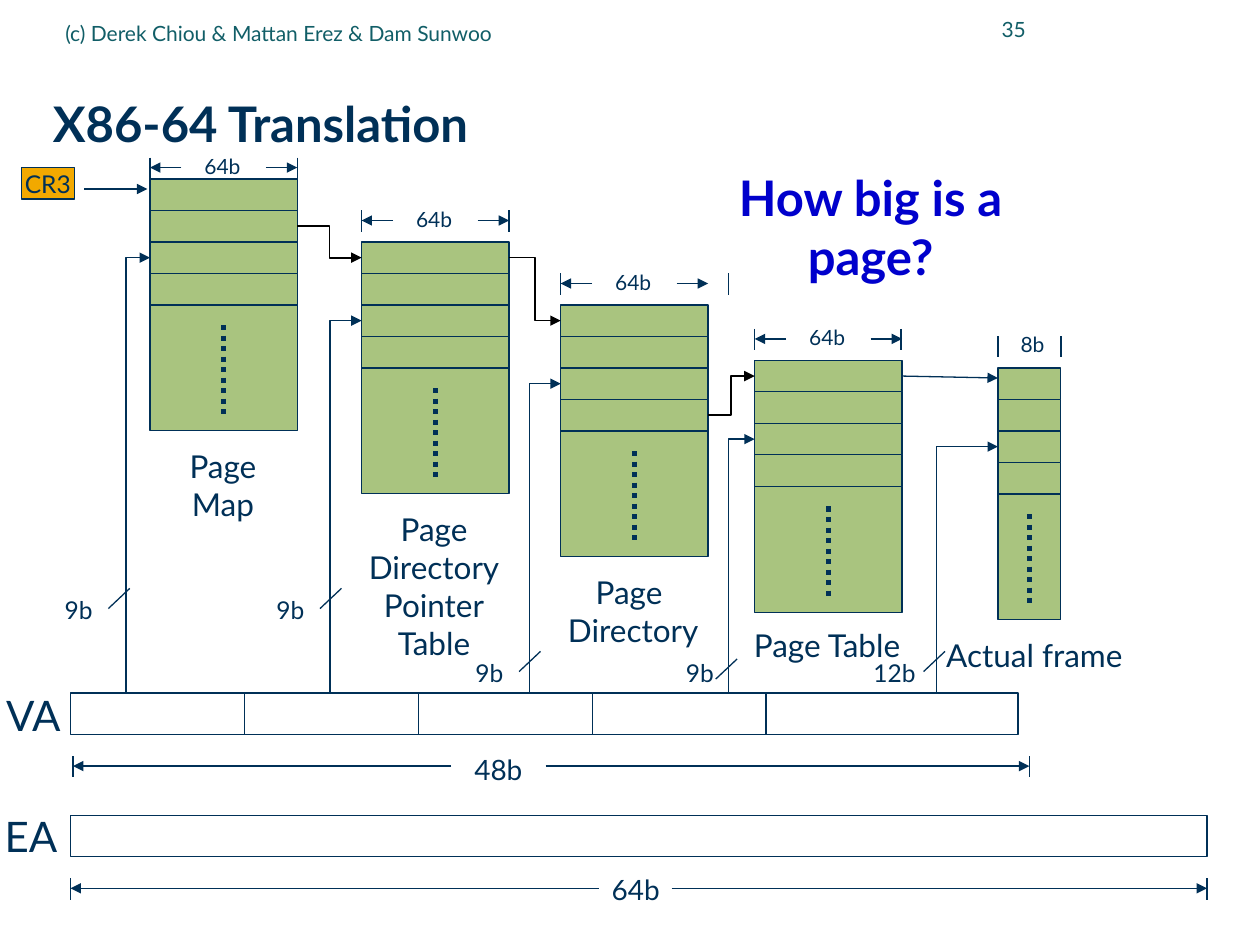
from lxml import etree
from pptx import Presentation
from pptx.dml.color import RGBColor
from pptx.enum.dml import MSO_LINE
from pptx.enum.shapes import MSO_CONNECTOR, MSO_SHAPE
from pptx.enum.text import MSO_ANCHOR, MSO_AUTO_SIZE, PP_ALIGN
from pptx.oxml.ns import qn
from pptx.util import Inches, Pt

STRAIGHT, ELBOW = MSO_CONNECTOR.STRAIGHT, MSO_CONNECTOR.ELBOW
RECT = MSO_SHAPE.RECTANGLE
LEFT, CENTER, RIGHT = PP_ALIGN.LEFT, PP_ALIGN.CENTER, PP_ALIGN.RIGHT
TOP, MIDDLE = MSO_ANCHOR.TOP, MSO_ANCHOR.MIDDLE
FIT = MSO_AUTO_SIZE.SHAPE_TO_FIT_TEXT
DOTS = MSO_LINE.ROUND_DOT
COLORS = {"navy": "003057", "teal": "115E67", "green": "A9C47F",
          "amber": "F2A900", "blue": "0000CC", "black": "000000"}
FONT = "Lato"

prs = Presentation()
prs.slide_width, prs.slide_height = Inches(10), Inches(7.5)
slide = prs.slides.add_slide(prs.slide_layouts[5])
shapes = slide.shapes


def write(frame, lines, size, color="navy", bold=False, align=CENTER, anchor=TOP, wrap=False):
    frame.word_wrap = wrap
    frame.vertical_anchor = anchor
    for i, line in enumerate(lines.split("\n")):
        paragraph = frame.add_paragraph() if i else frame.paragraphs[0]
        paragraph.alignment = align
        run = paragraph.add_run()
        run.text = line
        run.font.name, run.font.size, run.font.bold = FONT, Pt(size), bold
        run.font.color.rgb = RGBColor.from_string(COLORS[color])


def add_line(x0, y0, x1, y1, arrow=False, kind=STRAIGHT, color="navy", width=0.75, dash=None):
    line = shapes.add_connector(kind, Inches(x0), Inches(y0), Inches(x1), Inches(y1))
    line.line.color.rgb = RGBColor.from_string(COLORS[color])
    line.line.width = Pt(width)
    if dash:
        line.line.dash_style = dash
    if arrow:
        etree.SubElement(line.line._get_or_add_ln(), qn("a:tailEnd"), type="triangle")
    etree.SubElement(line._element.spPr, qn("a:effectLst"))
    return line


# Title
title = shapes.title
title.left, title.top, title.width, title.height = map(Inches, (0.42, 0.5, 9.41, 0.98))
heading = title.text_frame
heading.margin_left = heading.margin_right = heading.margin_top = heading.margin_bottom = 0
write(heading, "X86-64 Translation", 28, bold=True, align=LEFT, anchor=MIDDLE, wrap=True)
heading.paragraphs[0].line_spacing = 0.99

# Header: slide number and copyright line
for content, place, align in [
    ("35", (7.33, -0.02, 0.91, 0.5), RIGHT),
    ("(c) Derek Chiou & Mattan Erez & Dam Sunwoo", (0.42, 0.03, 5.67, 0.46), LEFT),
]:
    header = shapes.add_textbox(*map(Inches, place))
    write(header.text_frame, content, 12, "teal", align=align, anchor=MIDDLE, wrap=True)

# Rectangles: four entries and a remainder per table, address fields, CR3
ENTRY = 0.25
tables = [(1.19, 1.42, 1.17), (2.87, 1.92, 1.17), (4.45, 2.42, 1.17),
          (5.99, 2.86, 1.17), (7.92, 2.92, 0.5)]
boxes = []
for left, top, width in tables:
    boxes += [(left, top + ENTRY * i, width, ENTRY, "green") for i in range(4)]
    boxes.append((left, top + ENTRY * 4, width, 1, "green"))
FIELD = 1.38
boxes += [(0.56 + FIELD * i, 5.5, FIELD, 0.33, None) for i in range(4)]
boxes += [(6.08, 5.5, 2, 0.33, None), (0.56, 6.47, 9.02, 0.33, None),
          (0.17, 1.33, 0.42, 0.25, "amber")]

rects = []
for *place, fill in boxes:
    rect = shapes.add_shape(RECT, *map(Inches, place))
    rect.shadow.inherit = False
    if fill:
        rect.fill.solid()
        rect.fill.fore_color.rgb = RGBColor.from_string(COLORS[fill])
    else:
        rect.fill.background()
    rect.line.color.rgb = RGBColor.from_string(COLORS["navy"])
    rect.line.width = Pt(0.75)
    rects.append(rect)
entries = [rects[5 * n:5 * n + 4] for n in range(len(tables))]
write(rects[-1].text_frame, "CR3", 14, anchor=MIDDLE)
add_line(0.67, 1.5, 1.17, 1.5, arrow=True)

# Dotted continuation in each table
for left, top, width in tables:
    middle = left + width / 2
    add_line(middle, top + 1.16, middle, top + 1.91, width=3, dash=DOTS)

# Width spans: left, right, far tick, top of ticks, ends of the two arrows
spans = [(0.58, 8.17, 8.17, 6, 3.58, 4.33), (0.56, 9.58, 9.58, 6.97, 4.75, 5.33)]
for (left, top, width), rise, far_tick in zip(
        tables[:4], (0.17, 0.25, 0.25, 0.25), (2.36, 4.04, 5.78, 7.15)):
    right = left + width
    spans.append((left, right, far_tick, top - rise, left + 0.25, right - 0.25))
for left, right, far_tick, top, gap_left, gap_right in spans:
    for x in (left, far_tick):
        add_line(x, top, x, top + 0.17)
    add_line(gap_left, top + 0.08, left, top + 0.08, arrow=True)
    add_line(gap_right, top + 0.08, right, top + 0.08, arrow=True)
for x in (7.92, 8.42):
    add_line(x, 2.67, x, 2.83)

# Address bits that index each table: stem x, slash start
indexes = [(1, 0.86, 4.83), (2.62, 2.54, 4.83), (4.2, 4.12, 5.33),
           (5.78, 5.68, 5.39), (7.43, 7.33, 5.33)]
for (left, top, _), (stem, slash_x, slash_y) in zip(tables, indexes):
    target = top + ENTRY * 2.5
    mid_x, mid_y = (stem + left) / 2, (5.5 + target) / 2
    half_w, half_h = (5.5 - target) / 2, (left - stem) / 2
    # One-bend connector, turned so that it runs up and then right
    index = add_line(mid_x - half_w, mid_y - half_h, mid_x + half_w, mid_y + half_h,
                     arrow=True, kind=ELBOW)
    index._element.spPr.find(qn("a:prstGeom")).set("prst", "bentConnector2")
    index._element.spPr.find(qn("a:xfrm")).set("rot", str(270 * 60000))
    add_line(slash_x, slash_y, slash_x + 0.17, slash_y - 0.16)

# Pointers from an entry to the next table
for n, row in enumerate((1, 0, 3)):
    left, top, width = tables[n]
    next_left, next_top, _ = tables[n + 1]
    pointer = add_line(left + width, top + ENTRY * (row + 0.5), next_left,
                       next_top + ENTRY / 2, arrow=True, kind=ELBOW, color="black", width=1)
    pointer.begin_connect(entries[n][row], 3)
    pointer.end_connect(entries[n + 1][0], 1)
frame_pointer = add_line(7.15, 3, 7.92, 3, arrow=True)
frame_pointer.begin_connect(entries[3][0], 3)

# Labels: text, size, left, top, width, height
labels = [
    ("48b", 16, 3.66, 5.92, 0.59, 0.37), ("64b", 16, 4.75, 6.88, 0.59, 0.37),
    ("8b", 12, 8, 2.58, 0.39, 0.3),
    ("VA", 24, -0.06, 5.42, 0.65, 0.5), ("EA", 24, -0.08, 6.38, 0.65, 0.5),
    ("Page\nMap", 18, 1.4, 3.5, 0.74, 0.71),
    ("Page\nDirectory\nPointer\nTable", 18, 2.81, 4, 1.27, 1.31),
    ("Page \nDirectory", 18, 4.39, 4.5, 1.27, 0.71),
    ("Page Table", 18, 5.88, 4.92, 1.37, 0.4),
    ("Actual frame", 18, 7.41, 5, 1.6, 0.4),
    ("12b", 14, 6.83, 5.17, 0.54, 0.34),
]
labels += [("64b", 12, left + 0.33, top - 0.08, 0.49, 0.3) for left, _, _, top, _, _ in spans[2:]]
labels += [("9b", 14, x, y, 0.43, 0.34)
           for x, y in ((0.41, 4.67), (2.09, 4.67), (3.67, 5.17), (5.34, 5.17))]
for content, size, *place in labels:
    label = shapes.add_textbox(*map(Inches, place))
    write(label.text_frame, content, size)
    label.text_frame.auto_size = FIT

# Question
question = shapes.add_textbox(Inches(5.23), Inches(1.28), Inches(3.36), Inches(1.04))
write(question.text_frame, "How big is a page?", 28, "blue", bold=True, wrap=True)
question.text_frame.auto_size = FIT

prs.save("out.pptx")
